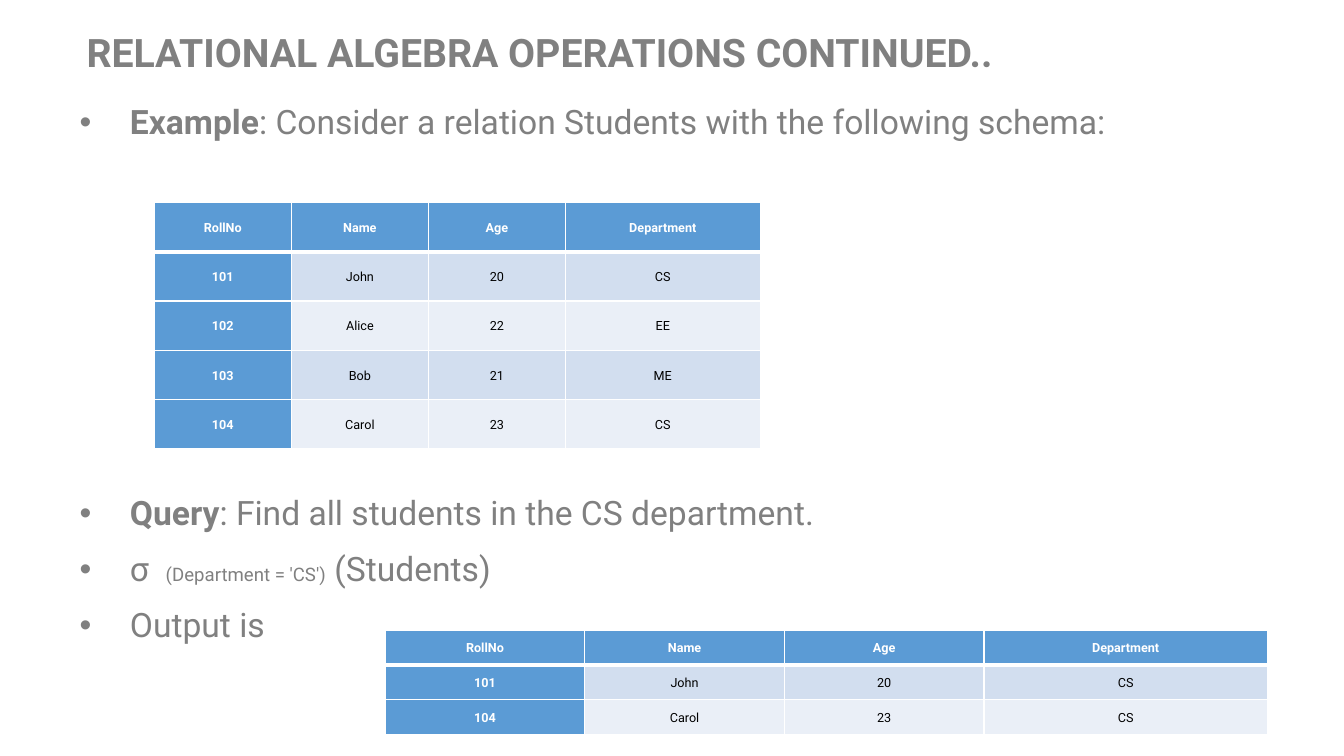
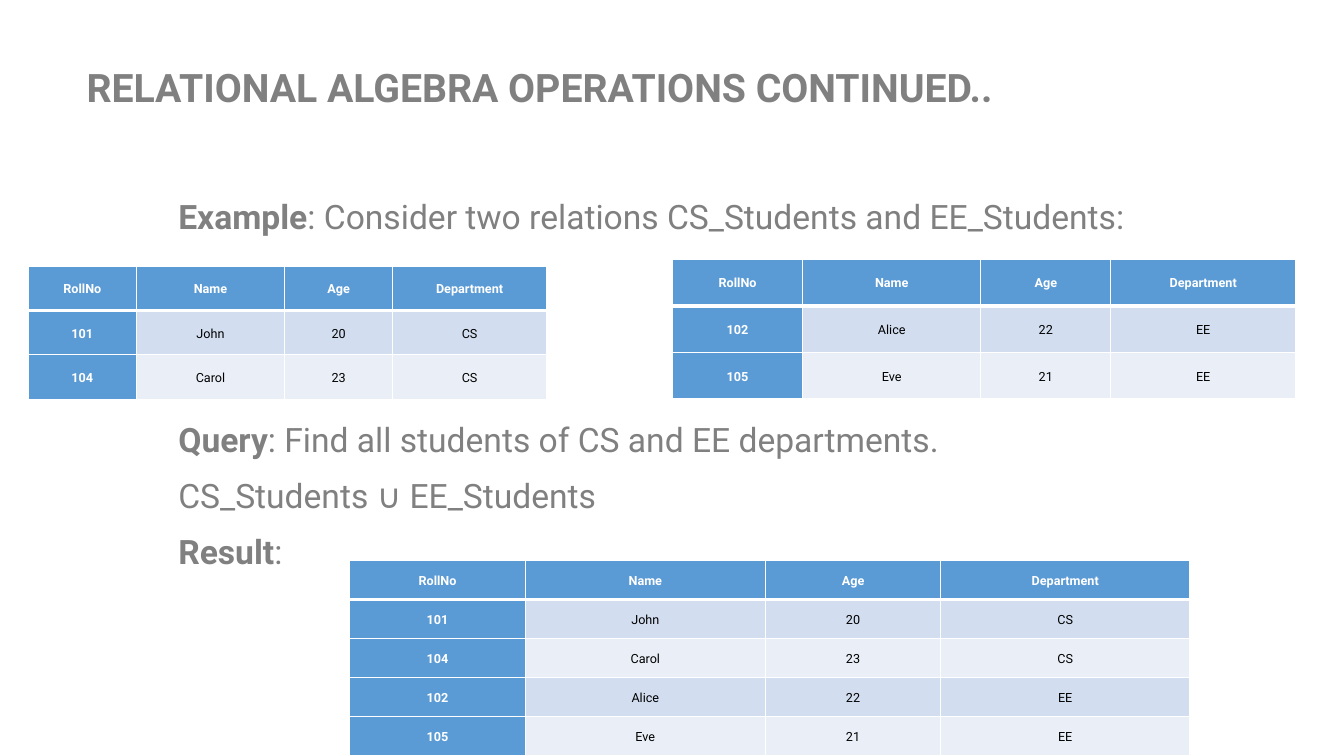
"""Builds two slides on relational algebra: selection and union."""
import dataclasses

import lxml.etree
import pptx
import pptx.dml.color
import pptx.enum.text
import pptx.oxml.ns
import pptx.util

Inches = pptx.util.Inches
Pt = pptx.util.Pt
qn = pptx.oxml.ns.qn
rgb = pptx.dml.color.RGBColor.from_string


@dataclasses.dataclass(frozen=True)
class Theme:
    font: str = "Roboto"
    grey: str = "808080"
    white: str = "FFFFFF"
    black: str = "000000"
    blue: str = "5B9BD5"
    bands: tuple = ("D2DEEF", "EAEFF7")
    title_size: float = 28
    body_size: float = 24
    subscript_size: float = 13.3
    cell_size: float = 9
    thin_rule: float = 1
    header_rule: float = 3


THEME = Theme()
TITLE = "RELATIONAL ALGEBRA OPERATIONS CONTINUED.."
HEADINGS = ("RollNo", "Name", "Age", "Department")
STUDENTS = {
    101: ("John", 20, "CS"),
    102: ("Alice", 22, "EE"),
    103: ("Bob", 21, "ME"),
    104: ("Carol", 23, "CS"),
    105: ("Eve", 21, "EE"),
}
LINE_STEP = 0.56
SELECTION_SHARES = (1, 1, 1, 1.42)
UNION_SHARES = (1, 1.37, 1, 1.42)


def add_lines(slide, left, top, width, height, lines, bulleted=False, is_title=False):
    """Adds a text box; each line is a list of (text, bold, size, letter spacing)."""
    frame = slide.shapes.add_textbox(Inches(left), Inches(top), Inches(width), Inches(height)).text_frame
    frame.word_wrap = True
    if is_title:
        frame.vertical_anchor = pptx.enum.text.MSO_ANCHOR.MIDDLE
    for index, line in enumerate(lines):
        paragraph = frame.add_paragraph() if index else frame.paragraphs[0]
        paragraph.line_spacing = 0.9
        if not is_title:
            paragraph.alignment = pptx.enum.text.PP_ALIGN.JUSTIFY
            paragraph.space_after = Pt(14)
        if bulleted:
            properties = paragraph._p.get_or_add_pPr()
            properties.set("marL", str(Inches(0.5)))
            properties.set("indent", str(-Inches(0.5)))
            lxml.etree.SubElement(properties, qn("a:buFont"), typeface="Arial")
            lxml.etree.SubElement(properties, qn("a:buChar"), char="•")
        for text, bold, size, spacing in line:
            run = paragraph.add_run()
            run.text = text
            run.font.name = THEME.font
            run.font.size = Pt(size)
            run.font.bold = bold
            run.font.color.rgb = rgb(THEME.grey)
            if spacing:
                run._r.get_or_add_rPr().set("spc", str(spacing * 100))


def add_relation(slide, left, top, width, height, shares, roll_numbers):
    """Adds a table of the students with the given roll numbers."""
    rows = [HEADINGS] + [(number, *STUDENTS[number]) for number in roll_numbers]
    relation = slide.shapes.add_table(
        len(rows), len(HEADINGS), Inches(left), Inches(top), Inches(width), Inches(height)
    ).table
    relation.horz_banding = False
    for column, share in zip(relation.columns, shares):
        column.width = Inches(width * share / sum(shares))
    for row_index, values in enumerate(rows):
        relation.rows[row_index].height = Inches(height / len(rows))
        for column_index, value in enumerate(values):
            cell = relation.cell(row_index, column_index)
            is_heading = row_index == 0 or column_index == 0
            cell.vertical_anchor = pptx.enum.text.MSO_ANCHOR.MIDDLE
            cell.margin_left = cell.margin_right = Inches(0.06)
            cell.margin_top = cell.margin_bottom = 0
            for side in ("L", "R", "T", "B"):
                under_header = (row_index, side) in ((0, "B"), (1, "T"))
                weight = THEME.header_rule if under_header else THEME.thin_rule
                rule = lxml.etree.SubElement(cell._tc.get_or_add_tcPr(), qn(f"a:ln{side}"), w=str(Pt(weight)))
                paint = lxml.etree.SubElement(rule, qn("a:solidFill"))
                lxml.etree.SubElement(paint, qn("a:srgbClr"), val=THEME.white)
            cell.fill.solid()
            cell.fill.fore_color.rgb = rgb(THEME.blue if is_heading else THEME.bands[(row_index - 1) % 2])
            paragraph = cell.text_frame.paragraphs[0]
            paragraph.text = str(value)
            paragraph.alignment = pptx.enum.text.PP_ALIGN.CENTER
            paragraph.line_spacing = 1.15
            font = paragraph.runs[0].font
            font.name = THEME.font
            font.size = Pt(THEME.cell_size)
            font.bold = is_heading
            font.color.rgb = rgb(THEME.white if is_heading else THEME.black)


body = THEME.body_size
selection = {
    "title_top": 0.08,
    "left": 0.69,
    "width": 11.39,
    "bulleted": True,
    "texts": [
        (1, [[("Example", True, body, 0),
              (": Consider a relation Students with the following schema:", False, body, 0)]]),
        (4.88, [
            [("Query", True, body, 0), (": Find all students in the CS department.", False, body, 0)],
            [("σ ", False, body, 3),
             ("(Department = 'CS')", False, THEME.subscript_size, 0),
             (" (Students)", False, body, 0)],
            [("Output is", False, body, 0)],
        ]),
    ],
    "relations": [
        (1.53, 2.01, 6.01, 2.44, SELECTION_SHARES, (101, 102, 103, 104)),
        (3.82, 6.25, 8.75, 1.04, SELECTION_SHARES, (101, 104)),
    ],
}
union = {
    "title_top": 0.43,
    "left": 1.67,
    "width": 10.69,
    "bulleted": False,
    "texts": [
        (1.94, [[("Example", True, body, 0),
                 (": Consider two relations CS_Students and EE_Students:", False, body, 0)]]),
        (4.15, [
            [("Query", True, body, 0), (": Find all students of CS and EE departments.", False, body, 0)],
            [("CS_Students ∪ EE_Students", False, body, 0)],
            [("Result", True, body, 0), (":", False, body, 0)],
        ]),
    ],
    "relations": [
        (0.28, 2.64, 5.14, 1.32, UNION_SHARES, (101, 104)),
        (6.67, 2.57, 6.18, 1.39, UNION_SHARES, (102, 105)),
        (3.47, 5.56, 8.33, 1.94, UNION_SHARES, (101, 104, 102, 105)),
    ],
}

presentation = pptx.Presentation()
presentation.slide_width = Inches(13.33)
presentation.slide_height = Inches(7.5)

for operation in (selection, union):
    slide = presentation.slides.add_slide(presentation.slide_layouts[6])
    title_line = [(TITLE, True, THEME.title_size, 0)]
    add_lines(slide, 0.76, operation["title_top"], 11.25, 0.92, [title_line], is_title=True)
    for top, lines in operation["texts"]:
        add_lines(slide, operation["left"], top, operation["width"], LINE_STEP * len(lines), lines,
                  bulleted=operation["bulleted"])
    for relation in operation["relations"]:
        add_relation(slide, *relation)

presentation.save("out.pptx")
